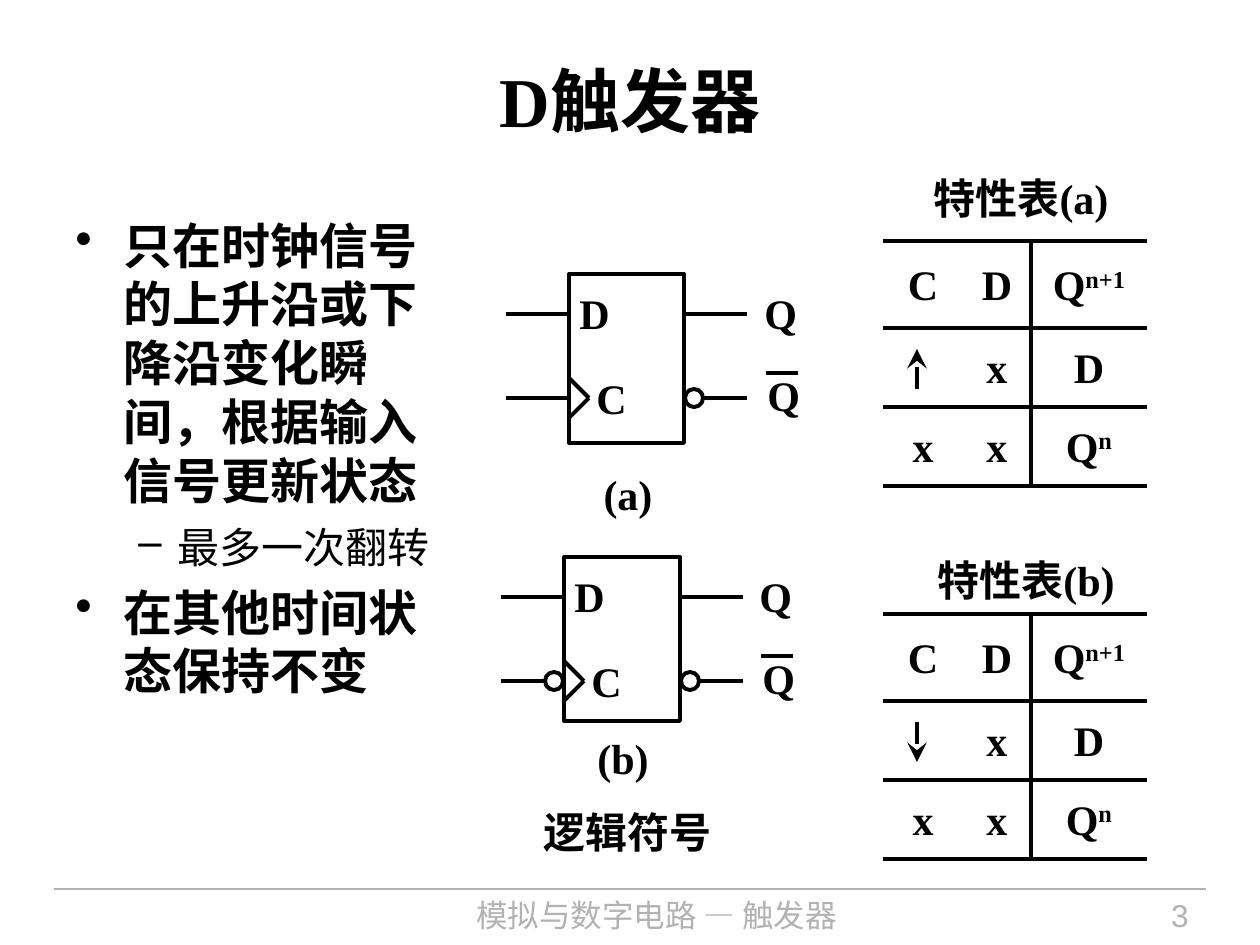
from dataclasses import dataclass

from lxml import etree
from pptx import Presentation
from pptx import util as u
from pptx.dml.color import RGBColor
from pptx.enum import shapes as s
from pptx.enum import text as t
from pptx.oxml.ns import qn

EMU_PER_PX = 914400 / 126


@dataclass(frozen=True)
class Theme:
    ink: str = "000000"
    paper: str = "FFFFFF"
    muted: str = "B2B2B2"
    serif: str = "Times New Roman"
    sans: str = "Arial"
    chinese: str = "Noto Sans CJK SC"
    title: int = 40
    body: int = 28
    label: int = 24
    footer: int = 18
    leading: float = 1.2
    symbol_line: float = 2.25
    table_line: float = 3
    footer_line: float = 0.75


THEME = Theme()
CENTER, LEFT, RIGHT = t.PP_ALIGN.CENTER, t.PP_ALIGN.LEFT, t.PP_ALIGN.RIGHT


def px(value):
    return u.Emu(round(value * EMU_PER_PX))


def write(paragraph, text, size=THEME.label, font=THEME.serif, color=THEME.ink,
          bold=True, align=LEFT, superscript=""):
    paragraph.alignment = align
    paragraph.line_spacing = u.Pt(size * THEME.leading)
    for part, raised in ((text, False), (superscript, True)):
        if not part:
            continue
        run = paragraph.add_run()
        run.text = part
        run.font.size, run.font.bold = u.Pt(size), bold
        run.font.color.rgb = RGBColor.from_string(color)
        run.font.name = font
        properties = run._r.get_or_add_rPr()
        etree.SubElement(properties, qn("a:ea"), typeface=THEME.chinese)
        if raised:
            properties.set("baseline", "30000")


def add_frame(shapes, left, top, width, height, wrap=True):
    box = shapes.add_textbox(px(left), px(top), px(width), px(height))
    box.text_frame.word_wrap = wrap
    return box.text_frame


def add_text(shapes, text, left, top, width, height=63, wrap=True,
             anchor=t.MSO_ANCHOR.TOP, **text_format):
    frame = add_frame(shapes, left, top, width, height, wrap)
    frame.vertical_anchor = anchor
    write(frame.paragraphs[0], text, **text_format)


def add_line(shapes, x1, y1, x2, y2, color=THEME.ink, weight=THEME.symbol_line, arrow=False):
    line = shapes.add_connector(s.MSO_CONNECTOR.STRAIGHT, px(x1), px(y1), px(x2), px(y2))
    line.line.color.rgb = RGBColor.from_string(color)
    line.line.width = u.Pt(weight)
    if arrow:
        etree.SubElement(line.line._get_or_add_ln(), qn("a:tailEnd"),
                         type="stealth", w="lg", len="lg")
    etree.SubElement(line._element.spPr, qn("a:effectLst"))


def add_outline(shapes, kind, left, top, width, height, filled=False):
    shape = shapes.add_shape(kind, px(left), px(top), px(width), px(height))
    shape.shadow.inherit = False
    if filled:
        shape.fill.solid()
        shape.fill.fore_color.rgb = RGBColor.from_string(THEME.paper)
    else:
        shape.fill.background()
    shape.line.color.rgb = RGBColor.from_string(THEME.ink)
    shape.line.width = u.Pt(THEME.symbol_line)


def add_bullets(shapes):
    items = [
        ("只在时钟信号的上升沿或下降沿变化瞬间，根据输入信号更新状态", 0),
        ("最多一次翻转", 1),
        ("在其他时间状态保持不变", 0),
    ]
    # per level: bullet, text indent and hanging indent in px, size, bold, space after
    levels = [("•", 48, 48, THEME.body, True, 7), ("–", 102, 39, THEME.label, False, 6)]
    frame = add_frame(shapes, 63, 209, 398, 679)
    for index, (text, level) in enumerate(items):
        bullet, indent, hanging, size, bold, after = levels[level]
        paragraph = frame.add_paragraph() if index else frame.paragraphs[0]
        write(paragraph, text, size=size, bold=bold)
        paragraph.level = level
        paragraph.space_after = u.Pt(after)
        properties = paragraph._p.get_or_add_pPr()
        properties.set("marL", str(px(indent)))
        properties.set("indent", str(-px(hanging)))
        properties.set("hangingPunct", "0")
        etree.SubElement(properties, qn("a:buChar"), char=bullet)


def add_flip_flop(slide, left, top, width, height, caption, caption_top, falling_edge=False):
    shapes = slide.shapes.add_group_shape().shapes
    wire, wedge, bubble = 63, 20, 18
    right, data_y, clock_y = left + width, top + 40, top + 124
    add_outline(shapes, s.MSO_SHAPE.RECTANGLE, left, top, width, height)
    for y in (data_y, clock_y):
        add_line(shapes, left - wire, y, left, y)
        add_line(shapes, right, y, right + wire, y)
    for edge in (-wedge, wedge):
        add_line(shapes, left, clock_y + edge, left + wedge, clock_y)
    for x in [right + 1] + [left - bubble - 1] * falling_edge:
        add_outline(shapes, s.MSO_SHAPE.OVAL, x, clock_y - bubble / 2, bubble, bubble, filled=True)
    pins = [("D", -2, 7, 55), ("C", 15, 92, 55), ("Q", 183, 7, 58), ("Q", 186, 89, 58)]
    for pin, dx, dy, pin_width in pins:
        add_text(shapes, pin, left + dx, top + dy, pin_width, wrap=False)
    add_line(shapes, left + 197, top + 99, left + 229, top + 99)
    add_text(shapes, caption, left + 9, caption_top, 100, wrap=False, align=CENTER)


def set_borders(cell, drawn):
    """Rule the named sides (L, R, T, B) of a cell and clear the others."""
    properties = cell._tc.get_or_add_tcPr()
    for index, side in enumerate("LRTB"):
        border = etree.Element(qn(f"a:ln{side}"), w=str(u.Pt(THEME.table_line)))
        if side in drawn:
            fill = etree.SubElement(border, qn("a:solidFill"))
            etree.SubElement(fill, qn("a:srgbClr"), val=THEME.ink)
        else:
            etree.SubElement(border, qn("a:noFill"))
        properties.insert(index, border)


def add_truth_table(slide, caption, caption_left, caption_top, top, rising_edge):
    left, widths, heights = 883, (80, 68, 116), (87, 79, 79)
    rows = [
        (("C", ""), ("D", ""), ("Q", "n+1")),
        (("", ""), ("x", ""), ("D", "")),
        (("x", ""), ("x", ""), ("Q", "n")),
    ]
    table = slide.shapes.add_table(len(rows), len(widths), px(left), px(top),
                                   px(sum(widths)), px(sum(heights))).table
    table.first_row = table.horz_banding = False
    for column, width in zip(table.columns, widths):
        column.width = px(width)
    for row, height in zip(table.rows, heights):
        row.height = px(height)
    for row_index, row in enumerate(rows):
        for column_index, (text, superscript) in enumerate(row):
            cell = table.cell(row_index, column_index)
            cell.margin_left = cell.margin_right = cell.margin_top = cell.margin_bottom = 0
            cell.vertical_anchor = t.MSO_ANCHOR.MIDDLE
            cell.fill.background()
            set_borders(cell, "TB" + ("", "R", "L")[column_index])
            write(cell.text_frame.paragraphs[0], text, superscript=superscript, align=CENTER)
    ends = (top + 108, top + 148)
    start, end = reversed(ends) if rising_edge else ends
    add_line(slide.shapes, left + 34, start, left + 34, end, arrow=True)
    add_text(slide.shapes, caption, caption_left, caption_top, 218, align=CENTER)


def add_footer(shapes):
    add_line(shapes, 54, 889, 1206, 889, color=THEME.muted, weight=THEME.footer_line)
    style = dict(size=THEME.footer, color=THEME.muted, bold=False)
    add_text(shapes, "模拟与数字电路 — 触发器", 302, 890, 709, 55,
             font=THEME.chinese, align=CENTER, **style)
    add_text(shapes, "3", 1033, 890, 168, 55, font=THEME.sans, align=RIGHT, **style)


def main():
    presentation = Presentation()
    presentation.slide_width, presentation.slide_height = px(1260), px(945)
    slide = presentation.slides.add_slide(presentation.slide_layouts[6])
    add_footer(slide.shapes)
    add_text(slide.shapes, "D触发器", 63, 21, 1134, 158, size=THEME.title,
             align=CENTER, anchor=t.MSO_ANCHOR.MIDDLE)
    add_bullets(slide.shapes)
    add_flip_flop(slide, 569, 274, 115, 169, "(a)", 462)
    add_flip_flop(slide, 564, 557, 116, 164, "(b)", 726, falling_edge=True)
    add_text(slide.shapes, "逻辑符号", 511, 800, 233, font=THEME.sans, align=CENTER)
    add_truth_table(slide, "特性表(a)", 912, 166, 241, rising_edge=True)
    add_truth_table(slide, "特性表(b)", 917, 548, 614, rising_edge=False)
    presentation.save("out.pptx")


if __name__ == "__main__":
    main()
